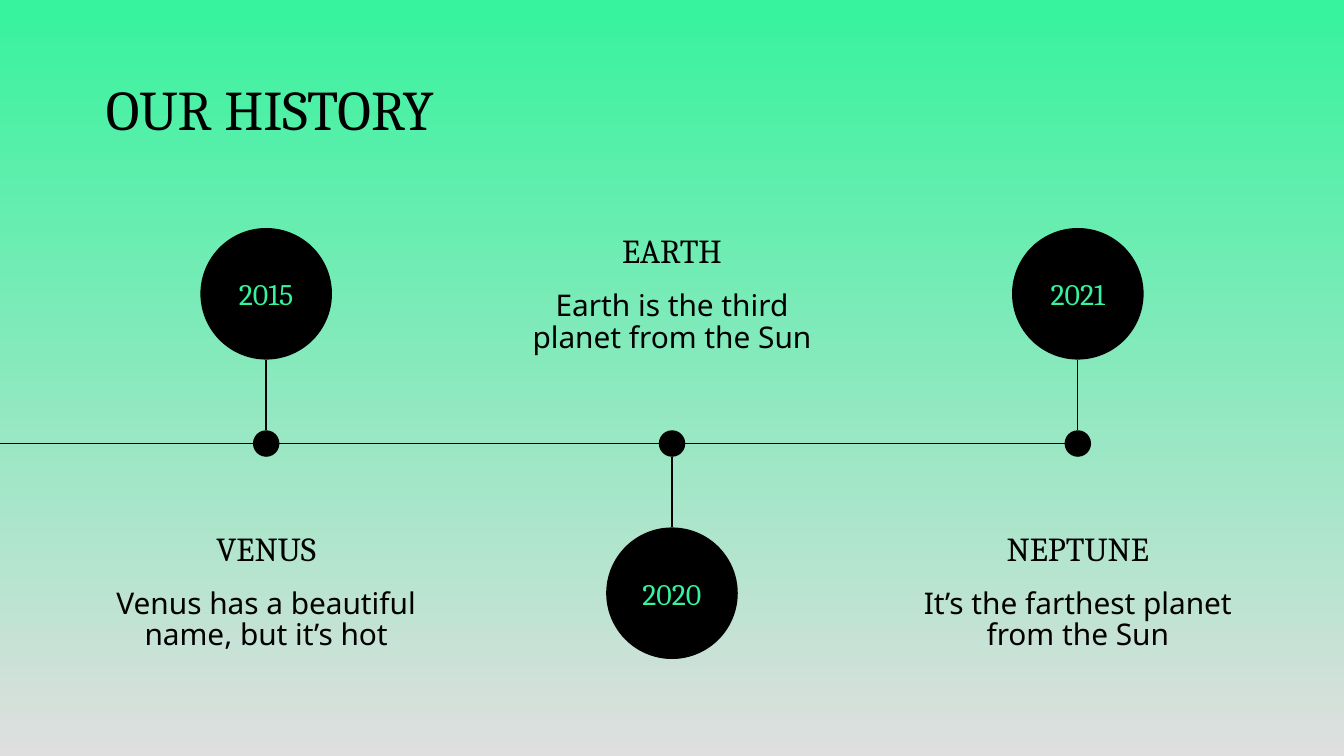
from lxml.etree import SubElement
from pptx import Presentation
from pptx.dml.color import RGBColor
from pptx.enum.shapes import MSO_CONNECTOR as Connector, MSO_SHAPE as Shape
from pptx.enum.text import MSO_ANCHOR as Anchor, PP_ALIGN as Align
from pptx.oxml.ns import qn
from pptx.util import Pt

COLORS = {"ink": "000000", "mint": "36F39D", "mist": "DFDFDF"}
SERIF, SANS = "Cambria", "Noto Sans"

CENTER_X, STEP = 360, 217.4
AXIS_Y, REACH = 237.6, 80.2
BADGE, DOT = 70.5, 14.2
TEXT_WIDTH = 171.4

# year, heading, body, whether the badge sits above the axis
EVENTS = [
    ("2015", "VENUS", "Venus has a beautiful name, but it’s hot", True),
    ("2020", "EARTH", "Earth is the third planet from the Sun", False),
    ("2021", "NEPTUNE", "It’s the farthest planet from the Sun", True),
]


def color(name):
    return RGBColor.from_string(COLORS[name])


def paint_background(page):
    fill = page.background.fill
    fill.gradient()
    fill.gradient_angle = 270
    for stop, position, name in zip(fill.gradient_stops, (0, 1), ("mint", "mist")):
        stop.position = position
        stop.color.rgb = color(name)


def write(shape, text, font, size, ink="ink", align=Align.CENTER, spacing=None):
    frame = shape.text_frame
    frame.word_wrap = True
    frame.vertical_anchor = Anchor.MIDDLE
    frame.margin_left = frame.margin_right = frame.margin_top = frame.margin_bottom = 0
    frame.text = text
    para = frame.paragraphs[0]
    para.alignment = align
    para.line_spacing = spacing
    span = para.runs[0]
    span.font.name = font
    span.font.size = Pt(size)
    span.font.color.rgb = color(ink)


def add_text(page, left, top, width, height, *args, **options):
    box = page.shapes.add_textbox(Pt(left), Pt(top), Pt(width), Pt(height))
    write(box, *args, **options)


def add_circle(page, x, y, size):
    """Add a black circle centred on x, y."""
    circle = page.shapes.add_shape(
        Shape.OVAL, Pt(x - size / 2), Pt(y - size / 2), Pt(size), Pt(size))
    circle.shadow.inherit = False
    circle.fill.solid()
    circle.fill.fore_color.rgb = color("ink")
    circle.line.fill.background()
    return circle


def add_line(page, x1, y1, x2, y2):
    line = page.shapes.add_connector(
        Connector.STRAIGHT, Pt(x1), Pt(y1), Pt(x2), Pt(y2))
    line.line.color.rgb = color("ink")
    line.line.width = Pt(0.75)
    SubElement(line._element.spPr, qn("a:effectLst"))


def add_event(page, x, year, heading, body, above):
    side = -1 if above else 1
    badge_y = AXIS_Y + side * REACH
    text_top = 275.2 if above else 115.8
    left = x - TEXT_WIDTH / 2
    add_text(page, left, text_top, TEXT_WIDTH, 36.7, heading, SERIF, 18)
    add_text(page, left, text_top + 37, TEXT_WIDTH, 40.3, body, SANS, 16, spacing=0.88)
    add_line(page, x, AXIS_Y + side * DOT / 2, x, badge_y - side * BADGE / 2)
    add_circle(page, x, AXIS_Y, DOT)
    write(add_circle(page, x, badge_y, BADGE), year, SERIF, 16, "mint")


def main():
    deck = Presentation()
    deck.slide_width, deck.slide_height = Pt(720), Pt(405)
    page = deck.slides.add_slide(deck.slide_layouts[6])
    paint_background(page)
    add_text(page, 56.7, 35.3, 607, 45.4, "OUR HISTORY", SERIF, 30, align=Align.LEFT)

    axis_start = 0
    for index, event in enumerate(EVENTS):
        x = CENTER_X + (index - 1) * STEP
        add_line(page, axis_start, AXIS_Y, x - DOT / 2, AXIS_Y)
        add_event(page, x, *event)
        axis_start = x + DOT / 2
    deck.save("out.pptx")


if __name__ == "__main__":
    main()
